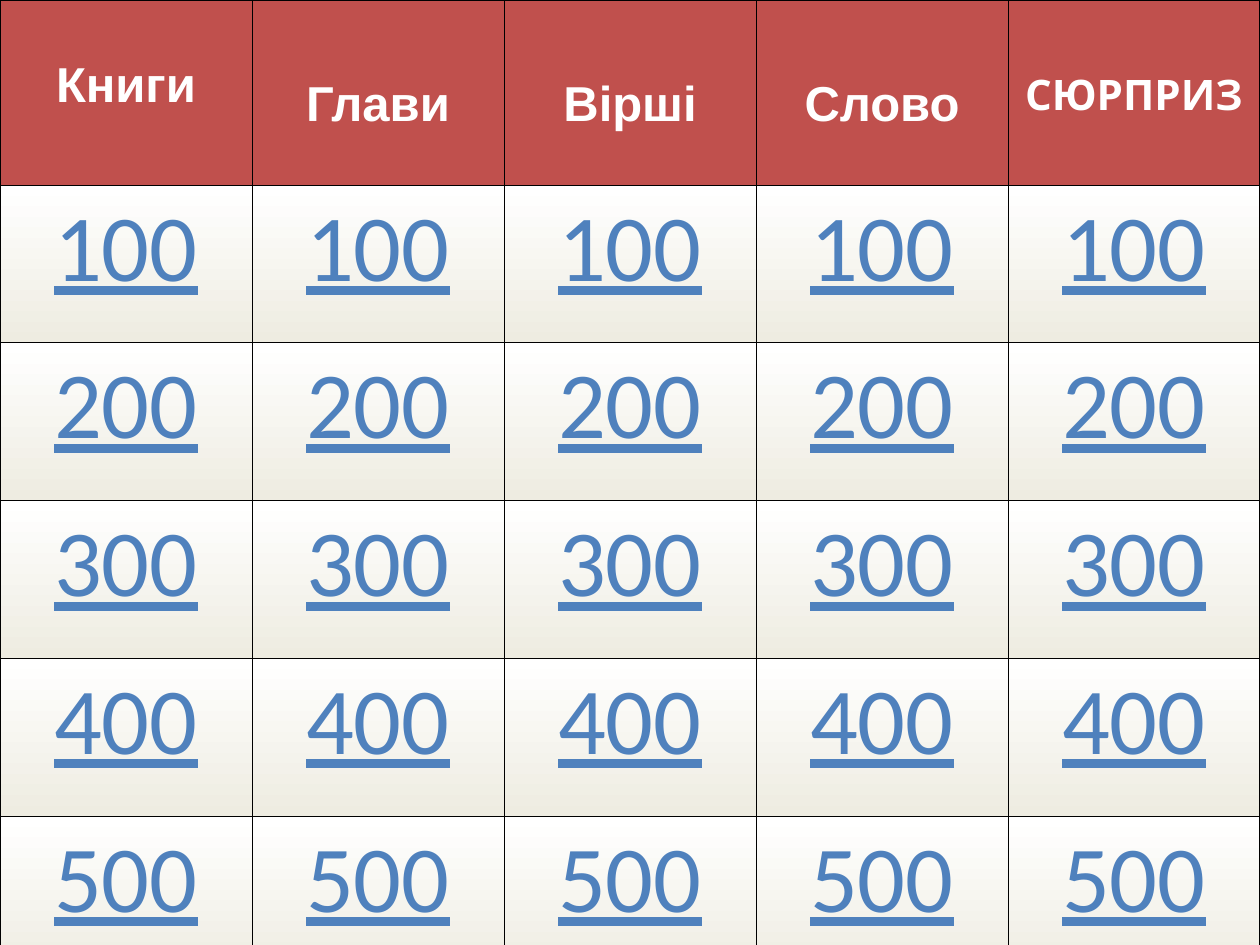
import pptx
import pptx.dml.color
import pptx.enum.text
import pptx.oxml
import pptx.oxml.ns
import pptx.util
from pptx.util import Cm

# text, font, size, top margin (cm), line spacing
CATEGORIES = [
    ("Книги", "Arial", 28, 1.18, 1.0),
    ("Глави", "Arial", 28, 0.13, 2.3),
    ("Вірші", "Arial", 28, 0.13, 2.3),
    ("Слово", "Arial", 28, 0.13, 2.3),
    ("СЮРПРИЗ", "Comic Neue", 24, 1.47, 1.0),
]
POINTS = ["100", "200", "300", "400", "500"]

BACKGROUND = "68BAC0"
HEADER_FILL = "C0504D"
HEADER_TEXT = "FFFFFF"
POINTS_TEXT = "4F81BD"
POINTS_GRADIENT = ("FFFFFF", "EEECE1")
BORDER = "000000"
INNER_BORDER, OUTER_BORDER = 0.45, 1.08

SLIDE_WIDTH, SLIDE_HEIGHT = 25.4, 19.05
HEADER_HEIGHT, POINTS_HEIGHT = 3.73, 3.18


def color(hex_value):
    return pptx.dml.color.RGBColor.from_string(hex_value)


def set_borders(cell, outer_sides):
    """Draw all four borders, thicker on the sides at the table's edge."""
    properties = cell._tc.get_or_add_tcPr()
    for index, side in enumerate("LRTB"):
        points = OUTER_BORDER if side in outer_sides else INNER_BORDER
        line = pptx.oxml.parse_xml(
            f'<a:ln{side} {pptx.oxml.ns.nsdecls("a")} w="{pptx.util.Pt(points)}">'
            f'<a:solidFill><a:srgbClr val="{BORDER}"/></a:solidFill></a:ln{side}>'
        )
        properties.insert(index, line)


def set_text(cell, text, font_name, size, text_color, bold=False, underline=False):
    cell.text_frame.text = text
    paragraph = cell.text_frame.paragraphs[0]
    paragraph.alignment = pptx.enum.text.PP_ALIGN.CENTER
    font = paragraph.runs[0].font
    font.name = font_name
    font.size = pptx.util.Pt(size)
    font.bold = bold
    font.underline = underline
    font.color.rgb = color(text_color)
    return paragraph


def fill_header(cell, category):
    text, font_name, size, top_margin, line_spacing = category
    paragraph = set_text(cell, text, font_name, size, HEADER_TEXT, bold=True)
    paragraph.line_spacing = line_spacing
    cell.margin_top = Cm(top_margin)
    cell.fill.solid()
    cell.fill.fore_color.rgb = color(HEADER_FILL)


def fill_points(cell, points):
    paragraph = set_text(cell, points, "Calibri", 54, POINTS_TEXT, underline=True)
    paragraph.space_before = pptx.util.Pt(13.5)
    cell.fill.gradient()
    cell.fill.gradient_angle = 270
    for stop, hex_value in zip(cell.fill.gradient_stops, POINTS_GRADIENT):
        stop.color.rgb = color(hex_value)


def main():
    presentation = pptx.Presentation()
    presentation.slide_width = Cm(SLIDE_WIDTH)
    presentation.slide_height = Cm(SLIDE_HEIGHT)
    slide = presentation.slides.add_slide(presentation.slide_layouts[6])
    slide.background.fill.solid()
    slide.background.fill.fore_color.rgb = color(BACKGROUND)

    row_heights = [HEADER_HEIGHT] + [POINTS_HEIGHT] * len(POINTS)
    row_count, column_count = len(row_heights), len(CATEGORIES)
    table = slide.shapes.add_table(
        row_count, column_count, 0, 0, Cm(SLIDE_WIDTH), Cm(sum(row_heights))
    ).table
    for row, height in zip(table.rows, row_heights):
        row.height = Cm(height)

    for column, category in enumerate(CATEGORIES):
        table.columns[column].width = Cm(SLIDE_WIDTH / column_count)
        fill_header(table.cell(0, column), category)
        for row, points in enumerate(POINTS, start=1):
            fill_points(table.cell(row, column), points)
        for row in range(row_count):
            edges = {"L": column == 0, "R": column == column_count - 1,
                     "T": row == 0, "B": row == row_count - 1}
            set_borders(table.cell(row, column), [side for side in edges if edges[side]])

    presentation.save("out.pptx")


if __name__ == "__main__":
    main()
